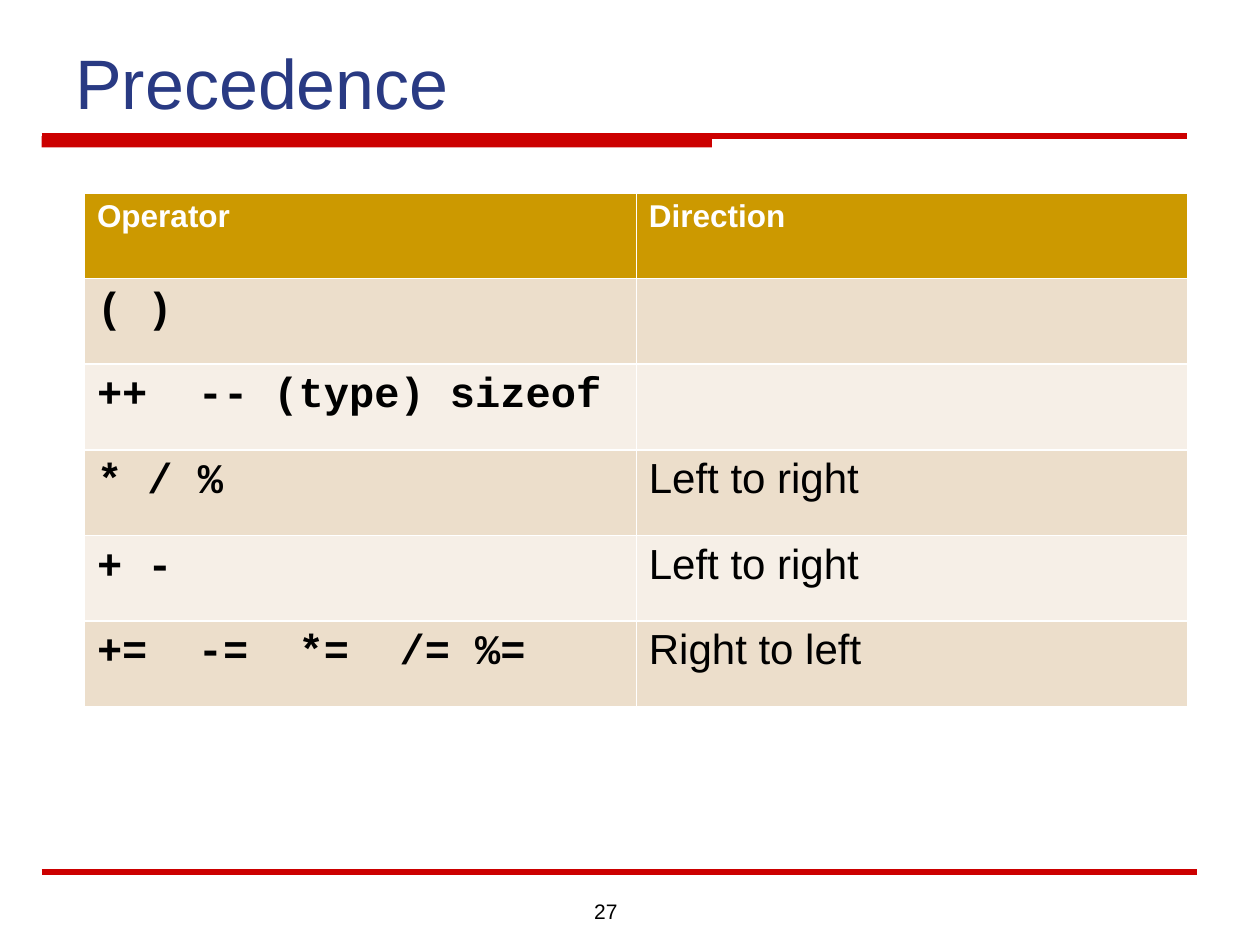
from lxml import etree
from pptx import Presentation
from pptx.dml.color import RGBColor
from pptx.enum.shapes import MSO_CONNECTOR, MSO_SHAPE
from pptx.enum.text import MSO_ANCHOR, PP_ALIGN
from pptx.oxml.ns import qn
from pptx.util import Inches, Pt

RED = RGBColor(0xCC, 0x00, 0x00)
NAVY = RGBColor(0x29, 0x3A, 0x83)
GOLD = RGBColor(0xCC, 0x99, 0x00)
SAND = RGBColor(0xEC, 0xDE, 0xCB)
CREAM = RGBColor(0xF6, 0xEF, 0xE7)
WHITE = RGBColor(0xFF, 0xFF, 0xFF)
BLACK = RGBColor(0x00, 0x00, 0x00)

TITLE = "Precedence"
PAGE_NUMBER = "27"
ROWS = [
    ("Operator", "Direction"),
    ("( )", ""),
    ("++  -- (type) sizeof", ""),
    ("* / %", "Left to right"),
    ("+ -", "Left to right"),
    ("+=  -=  *=  /= %=", "Right to left"),
]
RULES = [(0.33, 9.42, 1.08), (0.33, 9.5, 6.92)]
ROW_HEIGHT = 0.68
COLUMN_WIDTH = 4.38


def style_paragraph(paragraph, size, color, name="Arial", bold=False):
    font = paragraph.font
    font.name, font.size, font.bold = name, Pt(size), bold
    font.color.rgb = color


def add_text(slide, text, box, size, color, anchor, alignment):
    frame = slide.shapes.add_textbox(*map(Inches, box)).text_frame
    frame.word_wrap = True
    frame.vertical_anchor = anchor
    paragraph = frame.paragraphs[0]
    paragraph.text = text
    paragraph.alignment = alignment
    style_paragraph(paragraph, size, color)


def add_rule(slide, left, right, top):
    rule = slide.shapes.add_connector(
        MSO_CONNECTOR.STRAIGHT, Inches(left), Inches(top), Inches(right), Inches(top)
    )
    rule.line.color.rgb = RED
    rule.line.width = Pt(3)
    etree.SubElement(rule._element.spPr, qn("a:effectLst"))


def add_title_bar(slide):
    bar = slide.shapes.add_shape(
        MSO_SHAPE.RECTANGLE, Inches(0.33), Inches(1.08), Inches(5.32), Inches(0.09)
    )
    bar.shadow.inherit = False
    bar.fill.solid()
    bar.fill.fore_color.rgb = RED
    bar.line.fill.background()


def add_precedence_table(slide):
    table = slide.shapes.add_table(
        len(ROWS), 2, Inches(0.67), Inches(1.53),
        Inches(2 * COLUMN_WIDTH), Inches(len(ROWS) * ROW_HEIGHT),
    ).table
    for column in table.columns:
        column.width = Inches(COLUMN_WIDTH)
    for row_index, texts in enumerate(ROWS):
        table.rows[row_index].height = Inches(ROW_HEIGHT)
        is_header = row_index == 0
        fill = GOLD if is_header else (CREAM, SAND)[row_index % 2]
        for column_index, text in enumerate(texts):
            cell = table.cell(row_index, column_index)
            cell.fill.solid()
            cell.fill.fore_color.rgb = fill
            cell.margin_top = Inches(0.07)
            paragraph = cell.text_frame.paragraphs[0]
            paragraph.text = text
            is_code = not is_header and column_index == 0
            paragraph.line_spacing = 0.94 if is_code else 0.93
            if is_header:
                style_paragraph(paragraph, 18, WHITE, bold=True)
            elif is_code:
                style_paragraph(paragraph, 24, BLACK, "Courier New", True)
            else:
                style_paragraph(paragraph, 24, BLACK)


def main():
    presentation = Presentation()
    presentation.slide_width = Inches(10)
    presentation.slide_height = Inches(7.5)
    slide = presentation.slides.add_slide(presentation.slide_layouts[6])
    add_title_bar(slide)
    for rule in RULES:
        add_rule(slide, *rule)
    add_text(slide, PAGE_NUMBER, (4.33, 7.08, 0.67, 0.27), 12, BLACK,
             MSO_ANCHOR.TOP, PP_ALIGN.RIGHT)
    add_text(slide, TITLE, (0.5, 0.17, 9, 0.86), 40, NAVY,
             MSO_ANCHOR.BOTTOM, PP_ALIGN.LEFT)
    add_precedence_table(slide)
    presentation.save("out.pptx")


if __name__ == "__main__":
    main()
